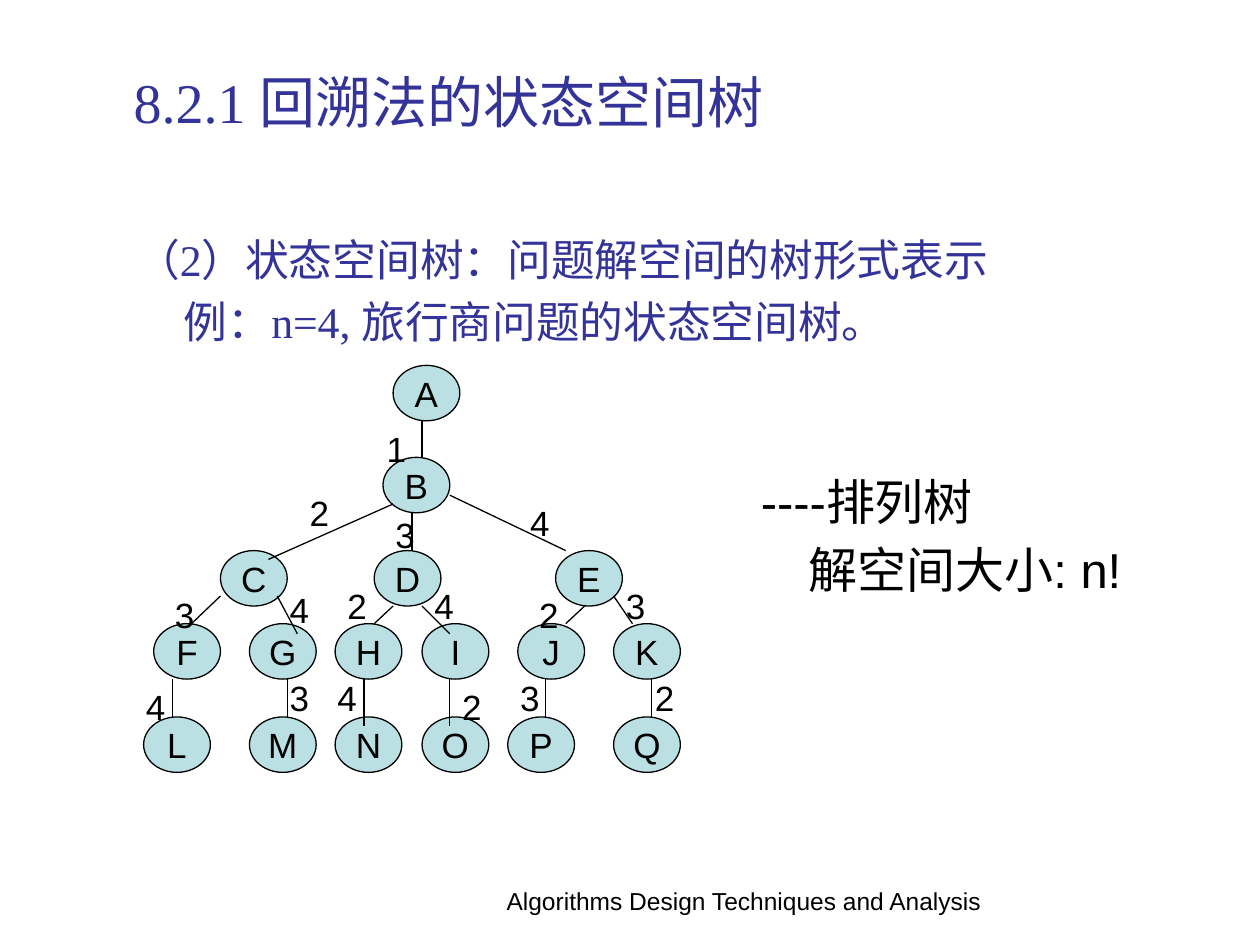
from lxml import etree
from pptx import Presentation
from pptx import util as u
from pptx.dml.color import RGBColor
from pptx.enum import shapes, text
from pptx.oxml.ns import qn

BLACK = RGBColor(0x00, 0x00, 0x00)
INDIGO = RGBColor(0x33, 0x33, 0x99)
PALE_TEAL = RGBColor(0xBB, 0xE0, 0xE3)
SERIF, SANS = "Times New Roman", "Arial"

TITLE = "8.2.1 回溯法的状态空间树"
BODY = ["（2）状态空间树：问题解空间的树形式表示", "例：n=4, 旅行商问题的状态空间树。"]
REMARK = ["----排列树", "解空间大小: n!"]
FOOTER = "Algorithms Design Techniques and Analysis"

NODE_WIDTH, NODE_HEIGHT = 0.53, 0.44
LABEL_WIDTH, LABEL_HEIGHT = 0.53, 0.43
HANGING = 0.38

LEVELS = [
    (2.9, {"A": 3.12}),
    (3.63, {"B": 3.04}),
    (4.37, {"C": 1.75, "D": 2.97, "E": 4.41}),
    (4.95, {"F": 1.22, "G": 1.98, "H": 2.66, "I": 3.35, "J": 4.11, "K": 4.87}),
    (5.69, {"L": 1.14, "M": 1.98, "N": 2.66, "O": 3.35, "P": 4.03, "Q": 4.87}),
]

# start, end, label, label position
EDGES = [
    ((3.35, 3.34), (3.35, 3.63), "1", (2.97, 3.34)),
    ((3.12, 4), (2.13, 4.44), "2", (2.36, 3.85)),
    ((3.27, 4.07), (3.27, 4.37), "3", (3.04, 4.03)),
    ((3.57, 3.93), (4.49, 4.37), "4", (4.11, 3.93)),
    ((1.75, 4.73), (1.52, 4.95), "3", (1.29, 4.66)),
    ((2.2, 4.73), (2.36, 5.03), "4", (2.2, 4.62)),
    ((3.12, 4.81), (2.97, 4.95), "2", (2.66, 4.59)),
    ((3.35, 4.81), (3.57, 5.03), "4", (3.35, 4.59)),
    ((4.64, 4.81), (4.49, 4.95), "2", (4.18, 4.66)),
    ((4.87, 4.73), (5.02, 4.95), "3", (4.87, 4.59)),
    ((1.37, 5.39), (1.37, 5.69), "4", (1.06, 5.39)),
    ((2.28, 5.39), (2.28, 5.69), "3", (2.2, 5.32)),
    ((2.89, 5.39), (2.89, 5.76), "4", (2.58, 5.32)),
    ((3.57, 5.39), (3.57, 5.76), "2", (3.57, 5.39)),
    ((4.33, 5.39), (4.33, 5.69), "3", (4.03, 5.32)),
    ((5.17, 5.39), (5.17, 5.69), "2", (5.1, 5.32)),
]


def place(shape, left, top, width, height):
    shape.left, shape.top = u.Inches(left), u.Inches(top)
    shape.width, shape.height = u.Inches(width), u.Inches(height)


def style(paragraph, size, name, color, alignment=text.PP_ALIGN.LEFT):
    paragraph.alignment = alignment
    paragraph.font.size = u.Pt(size)
    paragraph.font.name = name
    paragraph.font.color.rgb = color


def write_list(frame, lines, size, name, color):
    frame.word_wrap = True
    frame.auto_size = text.MSO_AUTO_SIZE.NONE
    for index, line in enumerate(lines):
        paragraph = frame.add_paragraph() if index else frame.paragraphs[0]
        paragraph.text = line
        properties = paragraph._p.get_or_add_pPr()
        properties.set("marL", str(u.Inches(HANGING)))
        properties.set("indent", str(0 if index else -u.Inches(HANGING)))
        etree.SubElement(properties, qn("a:buNone"))
        paragraph.space_before = u.Pt(size * 0.2 if index else 0)
        style(paragraph, size, name, color)


def add_text_box(slide, left, top, width, height):
    box = slide.shapes.add_textbox(*map(u.Inches, (left, top, width, height)))
    box.text_frame.word_wrap = True
    return box.text_frame


def add_node(slide, letter, left, top):
    node = slide.shapes.add_shape(
        shapes.MSO_SHAPE.OVAL, *map(u.Inches, (left, top, NODE_WIDTH, NODE_HEIGHT)))
    node.shadow.inherit = False
    node.fill.solid()
    node.fill.fore_color.rgb = PALE_TEAL
    node.line.color.rgb = BLACK
    node.line.width = u.Pt(0.75)
    frame = node.text_frame
    frame.word_wrap = False
    frame.vertical_anchor = text.MSO_ANCHOR.MIDDLE
    frame.text = letter
    style(frame.paragraphs[0], 20, SANS, BLACK, text.PP_ALIGN.CENTER)


def add_edge(slide, start, end):
    edge = slide.shapes.add_connector(
        shapes.MSO_CONNECTOR.STRAIGHT, *map(u.Inches, start + end))
    edge.line.color.rgb = BLACK
    edge.line.width = u.Pt(0.75)
    etree.SubElement(edge._element.spPr, qn("a:effectLst"))


def add_label(slide, label, position):
    frame = add_text_box(slide, *position, LABEL_WIDTH, LABEL_HEIGHT)
    frame.text = label
    style(frame.paragraphs[0], 20, SANS, BLACK)


def main():
    presentation = Presentation()
    presentation.slide_width, presentation.slide_height = u.Inches(10), u.Inches(7.5)
    slide = presentation.slides.add_slide(presentation.slide_layouts[1])

    title = slide.shapes.title
    place(title, 0.96, 0.3, 8.61, 1.01)
    title.text_frame.text = TITLE
    title.text_frame.vertical_anchor = text.MSO_ANCHOR.MIDDLE
    style(title.text_frame.paragraphs[0], 32, SERIF, INDIGO)

    body = slide.placeholders[1]
    place(body, 0.98, 1.8, 8.74, 1.26)
    write_list(body.text_frame, BODY, 25, SERIF, INDIGO)

    for top, nodes in LEVELS:
        for letter, left in nodes.items():
            add_node(slide, letter, left, top)
    for start, end, label, position in EDGES:
        add_edge(slide, start, end)
        add_label(slide, label, position)

    write_list(add_text_box(slide, 5.94, 3.69, 3.55, 2.28), REMARK, 28, SANS, BLACK)

    footer = add_text_box(slide, 3.82, 6.98, 4.17, 0.47)
    footer.text = FOOTER
    style(footer.paragraphs[0], 14, SANS, BLACK, text.PP_ALIGN.CENTER)

    presentation.save("out.pptx")


if __name__ == "__main__":
    main()
